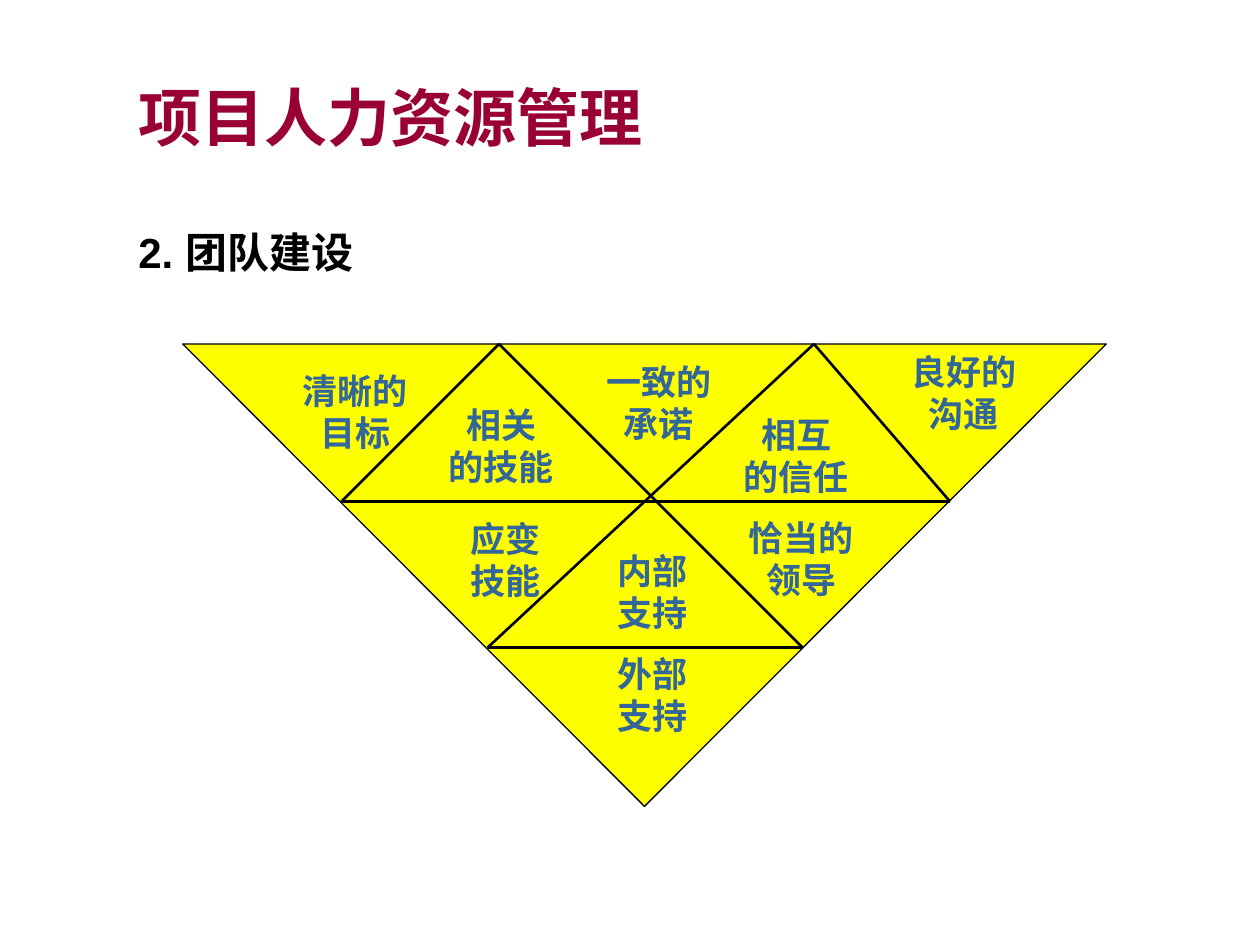
import pptx
import pptx.util
import pptx.dml.color
import pptx.enum.shapes
import pptx.enum.text
import pptx.oxml.ns
import lxml.etree
from pptx.util import Inches, Pt


def rgb(value):
    return pptx.dml.color.RGBColor.from_string(value)


def write(sp, text, size, color, font="Times New Roman", align="LEFT",
          anchor="TOP", wrap=True, before=0):
    tf = sp.text_frame
    tf.word_wrap = wrap
    tf.vertical_anchor = pptx.enum.text.MSO_ANCHOR[anchor]
    p = tf.paragraphs[0]
    p.alignment = pptx.enum.text.PP_ALIGN[align]
    p.space_before = Pt(before)
    for i, line in enumerate(text.split("\n")):
        if i:
            p.add_line_break()
        r = p.add_run()
        r.text = line
        r.font.size = Pt(size)
        r.font.name = font
        r.font.bold = True
        r.font.color.rgb = rgb(color)


prs = pptx.Presentation()
prs.slide_width, prs.slide_height = Inches(10), Inches(7.5)
s = prs.slides.add_slide(prs.slide_layouts[5])

# Title and subtitle
sp = s.shapes.title
sp.left, sp.top, sp.width, sp.height = map(Inches, (1, 0.3, 8.5, 1.25))
write(sp, "项目人力资源管理", 36, "990033", anchor="MIDDLE")
sp = s.shapes.add_textbox(Inches(1), Inches(1.75), Inches(8.49), Inches(0.98))
write(sp, "2. 团队建设", 24, "000000", font="Arial", before=5)

# Inverted triangle
sp = s.shapes.add_shape(pptx.enum.shapes.MSO_SHAPE.ISOSCELES_TRIANGLE,
                        Inches(1.45), Inches(2.73), Inches(7.33), Inches(3.67))
sp.rotation = 180
sp.shadow.inherit = False
sp.fill.solid()
sp.fill.fore_color.rgb = rgb("FFFF00")
sp.line.color.rgb = rgb("000000")
sp.line.width = Pt(0.75)

# Labels: text, left, top; the width follows the longest line
labels = [
    ("清晰的\n目标", 2.3, 2.88),
    ("恰当的\n领导", 5.84, 4.05),
    ("内部\n支持", 4.8, 4.31),
    ("应变\n技能", 3.63, 4.06),
    ("相互\n的信任", 5.8, 3.23),
    ("相关\n的技能", 3.46, 3.15),
    ("一致的\n承诺", 4.71, 2.81),
    ("良好的\n沟通", 7.13, 2.73),
    ("外部\n支持", 4.8, 5.13),
]
for text, left, top in labels:
    width = 0.2 + 0.28 * max(len(line) for line in text.split("\n"))
    sp = s.shapes.add_textbox(Inches(left), Inches(top), Inches(width), Inches(0.77))
    write(sp, text, 20, "336699", align="CENTER", wrap=False, before=10)
    sp.text_frame.auto_size = pptx.enum.text.MSO_AUTO_SIZE.SHAPE_TO_FIT_TEXT

# Dividing lines between points on the triangle's sides
top_left, top_right = (3.96, 2.73), (6.46, 2.73)
mid_left, mid_right = (2.71, 3.98), (7.54, 3.98)
low_left, low_right = (3.87, 5.14), (6.37, 5.14)
dividers = [
    (mid_left, top_left), (low_left, top_right), (mid_left, mid_right),
    (low_left, low_right), (top_right, mid_right), (top_left, low_right),
]
for start, end in dividers:
    line = s.shapes.add_connector(pptx.enum.shapes.MSO_CONNECTOR.STRAIGHT,
                                  *map(Inches, start + end))
    line.line.color.rgb = rgb("000000")
    line.line.width = Pt(1.5)
    lxml.etree.SubElement(line._element.spPr, pptx.oxml.ns.qn("a:effectLst"))

prs.save("out.pptx")
